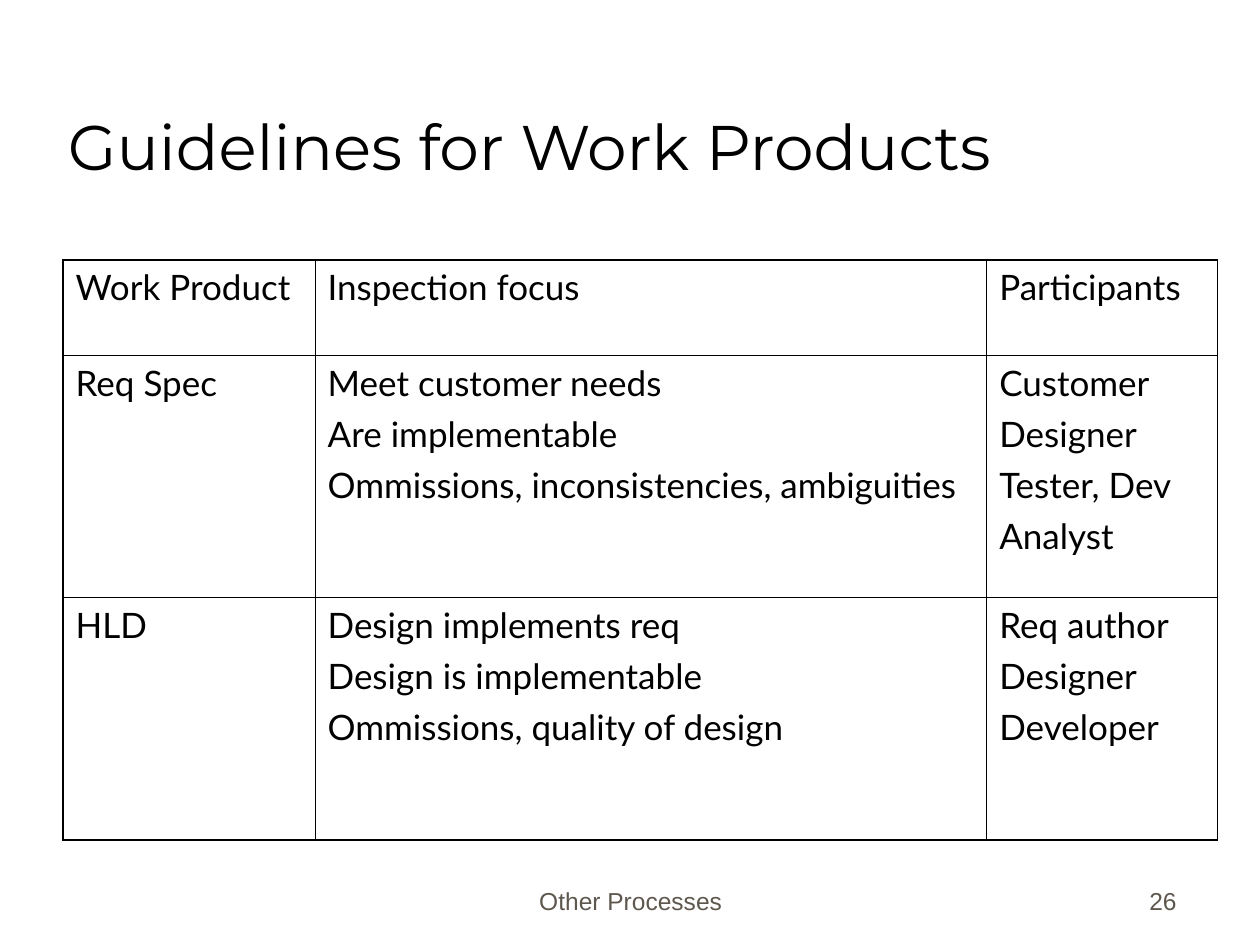
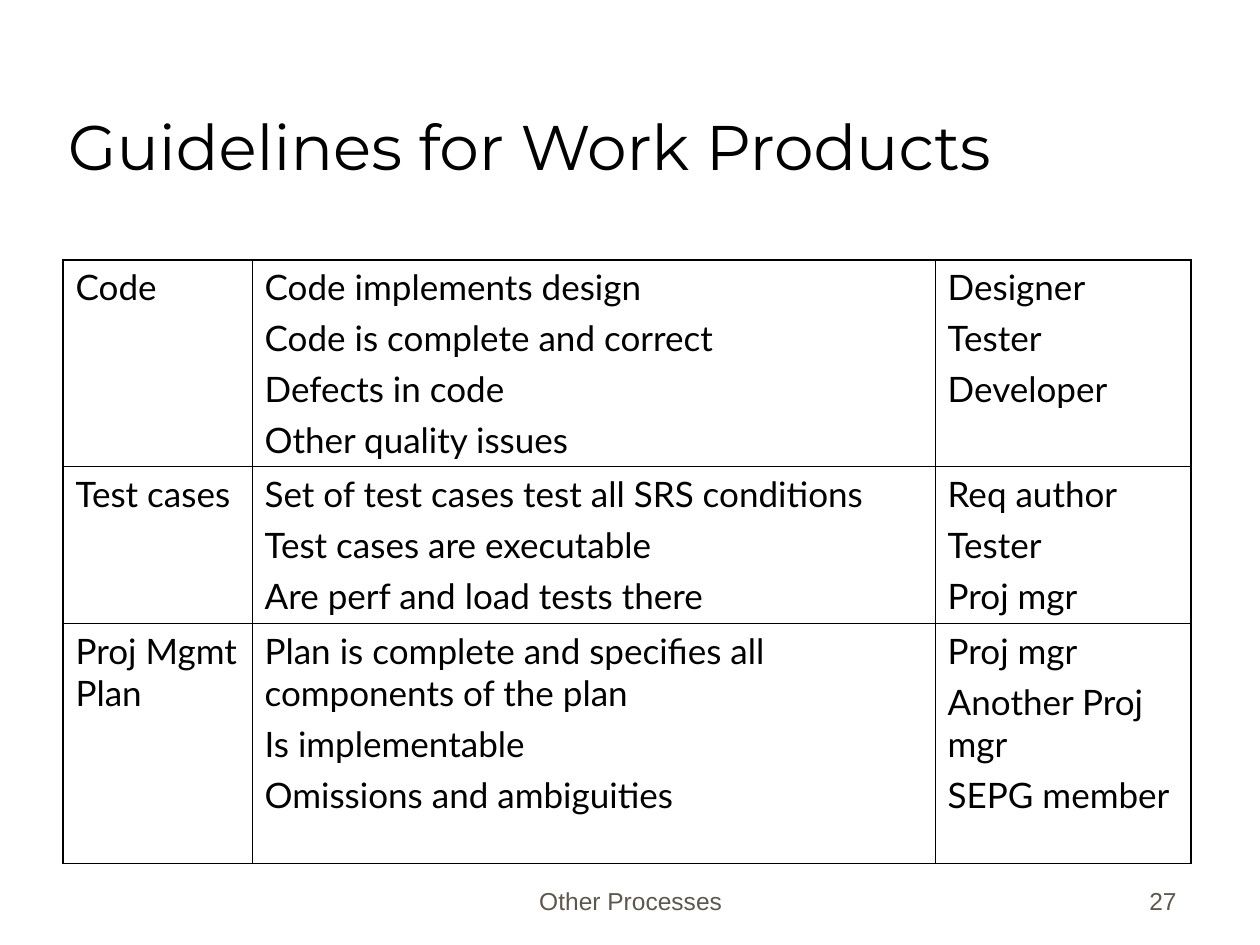
from lxml import etree
from pptx import Presentation
from pptx.dml.color import RGBColor
from pptx.enum.text import MSO_ANCHOR, PP_ALIGN
from pptx.oxml.ns import qn
from pptx.util import Cm, Pt

LEFT, CENTER, RIGHT = PP_ALIGN.LEFT, PP_ALIGN.CENTER, PP_ALIGN.RIGHT
BOTTOM = MSO_ANCHOR.BOTTOM

# Content
TITLE = "Guidelines for Work Products"
FOOTER = "Other Processes"
SLIDES = [
    {
        "number": 26,
        "col_widths": (5.08, 13.54, 4.65),
        "row_heights": (1.93, 4.88, 4.88),
        "rows": [
            (["Work Product"], ["Inspection focus"], ["Participants"]),
            (["Req Spec"],
             ["Meet customer needs", "Are implementable",
              "Ommissions, inconsistencies, ambiguities"],
             ["Customer", "Designer", "Tester, Dev", "Analyst"]),
            (["HLD"],
             ["Design implements req", "Design is implementable",
              "Ommissions, quality of design"],
             ["Req author", "Designer", "Developer"]),
        ],
    },
    {
        "number": 27,
        "col_widths": (3.81, 13.77, 5.16),
        "row_heights": (4.17, 3.15, 4.85),
        "rows": [
            (["Code"],
             ["Code implements design", "Code is complete and correct",
              "Defects in code", "Other quality issues"],
             ["Designer", "Tester", "Developer"]),
            (["Test cases"],
             ["Set of test cases test all SRS conditions",
              "Test cases are executable", "Are perf and load tests there"],
             ["Req author", "Tester", "Proj mgr"]),
            (["Proj Mgmt Plan"],
             ["Plan is complete and specifies all components of the plan",
              "Is implementable", "Omissions and ambiguities"],
             ["Proj mgr", "Another Proj mgr", "SEPG member"]),
        ],
    },
]

# Shared style
BLACK = RGBColor(0x00, 0x00, 0x00)
GREY = RGBColor(0x5E, 0x57, 0x4E)
TITLE_FONT = {"name": "Montserrat", "size": Pt(36), "color": BLACK}
CELL_FONT = {"name": "Lato", "size": Pt(20), "color": BLACK}
FOOTER_FONT = {"name": "Arial", "size": Pt(14), "color": GREY}
TITLE_BOX = (1.12, 0.64, 21.59, 3.18)
FOOTER_BOX = (8.69, 17.3, 8.05, 1.27)
NUMBER_BOX = (18.69, 17.3, 5.28, 1.27)
TABLE_LEFT, TABLE_TOP = 1.27, 5.24
PARAGRAPH_GAP = Pt(5)
OUTER_LINE, INNER_LINE = Pt(1.08), Pt(0.45)


def set_font(font, style):
    for key, value in style.items():
        if key == "color":
            font.color.rgb = value
        else:
            setattr(font, key, value)


def write_lines(tf, lines, style, align=LEFT):
    for i, line in enumerate(lines):
        p = tf.paragraphs[0] if i == 0 else tf.add_paragraph()
        p.alignment = align
        if i:
            p.space_before = PARAGRAPH_GAP
        r = p.add_run()
        r.text = line
        set_font(r.font, style)


def add_label(s, text, box, style, align=LEFT):
    tf = s.shapes.add_textbox(*map(Cm, box)).text_frame
    tf.word_wrap = True
    tf.vertical_anchor = BOTTOM
    write_lines(tf, [text], style, align)


def set_borders(cell, outer_sides):
    """Thick lines on the table's outer sides, thin lines elsewhere."""
    tc_pr = cell._tc.get_or_add_tcPr()
    for i, side in enumerate("LRTB"):
        width = OUTER_LINE if side in outer_sides else INNER_LINE
        ln = etree.Element(qn(f"a:ln{side}"), w=str(width))
        fill = etree.SubElement(ln, qn("a:solidFill"))
        etree.SubElement(fill, qn("a:srgbClr"), val=str(BLACK))
        tc_pr.insert(i, ln)


def add_guideline_table(s, rows, col_widths, row_heights):
    last_row, last_col = len(rows) - 1, len(col_widths) - 1
    frame = s.shapes.add_table(
        len(rows), len(col_widths), Cm(TABLE_LEFT), Cm(TABLE_TOP),
        Cm(sum(col_widths)), Cm(sum(row_heights)))
    table = frame.table
    table.first_row = table.horz_banding = False
    for col, width in zip(table.columns, col_widths):
        col.width = Cm(width)
    for row, height in zip(table.rows, row_heights):
        row.height = Cm(height)
    for i, row in enumerate(rows):
        for j, lines in enumerate(row):
            cell = table.cell(i, j)
            cell.fill.background()
            write_lines(cell.text_frame, lines, CELL_FONT)
            on_edge = {"L": j == 0, "R": j == last_col,
                       "T": i == 0, "B": i == last_row}
            set_borders(cell, [side for side, edge in on_edge.items() if edge])


def main():
    prs = Presentation()
    prs.slide_width, prs.slide_height = Cm(25.4), Cm(19.05)
    for content in SLIDES:
        s = prs.slides.add_slide(prs.slide_layouts[6])
        add_label(s, TITLE, TITLE_BOX, TITLE_FONT)
        add_guideline_table(s, content["rows"], content["col_widths"],
                            content["row_heights"])
        add_label(s, FOOTER, FOOTER_BOX, FOOTER_FONT, CENTER)
        add_label(s, str(content["number"]), NUMBER_BOX, FOOTER_FONT, RIGHT)
    prs.save("out.pptx")


if __name__ == "__main__":
    main()
